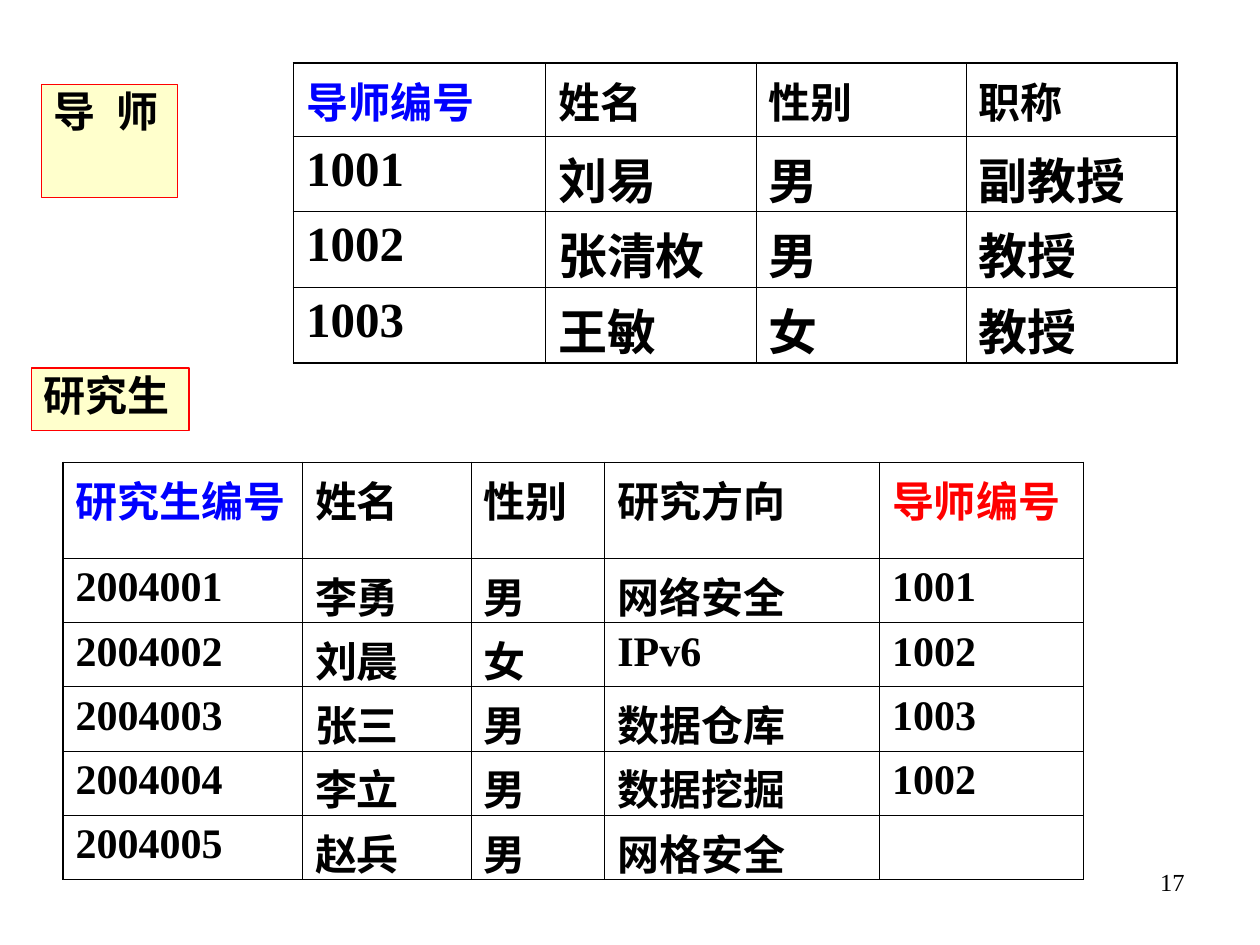
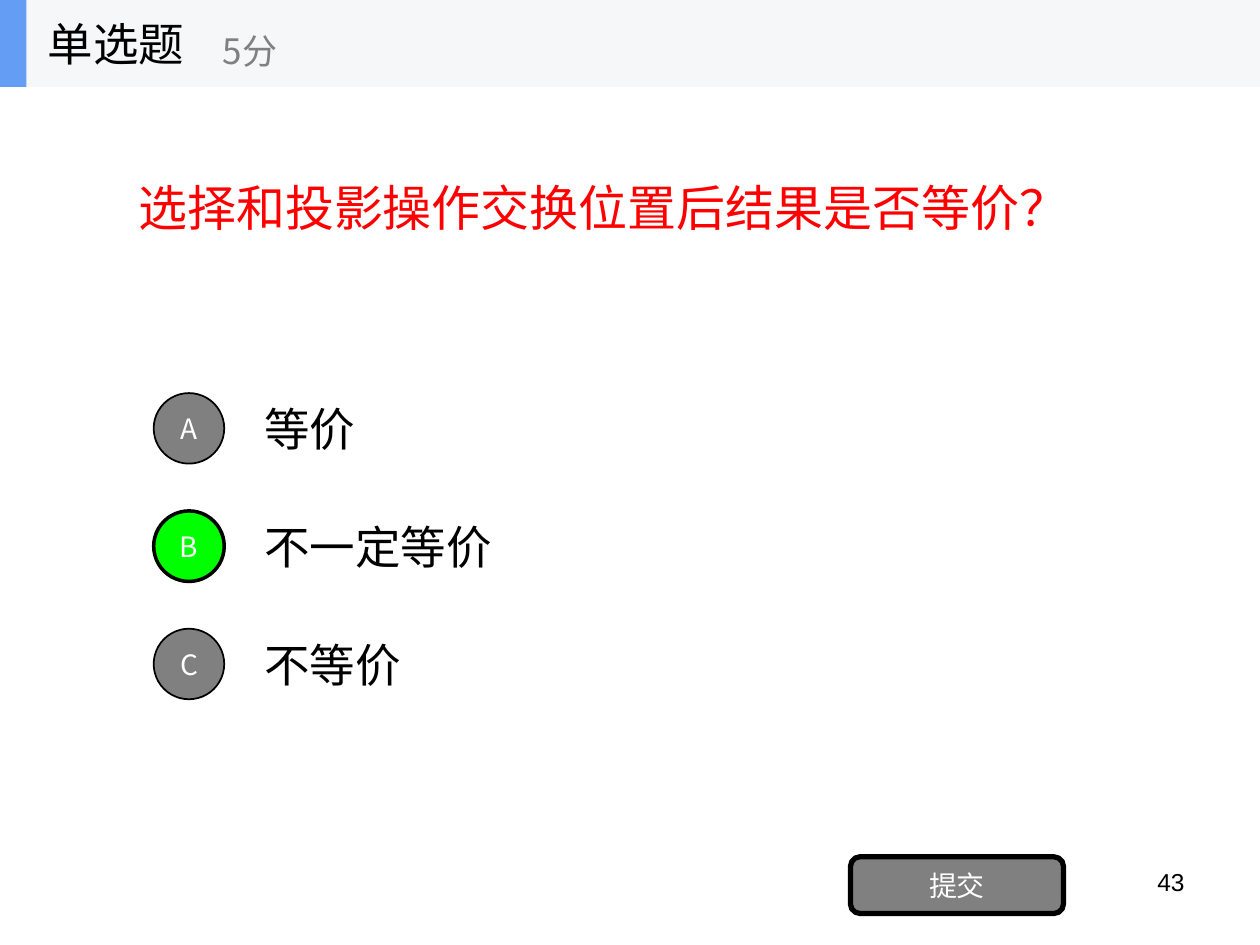
from dataclasses import dataclass

from lxml import etree
from pptx import Presentation
from pptx.dml.color import RGBColor
from pptx.enum.shapes import MSO_SHAPE
from pptx.enum.text import MSO_ANCHOR, PP_ALIGN
from pptx.oxml.ns import qn
from pptx.util import Inches, Pt

RECTANGLE, OVAL, ROUNDED = MSO_SHAPE.RECTANGLE, MSO_SHAPE.OVAL, MSO_SHAPE.ROUNDED_RECTANGLE
TOP, MIDDLE = MSO_ANCHOR.TOP, MSO_ANCHOR.MIDDLE
LEFT, CENTER, RIGHT = PP_ALIGN.LEFT, PP_ALIGN.CENTER, PP_ALIGN.RIGHT


@dataclass(frozen=True)
class Theme:
    black: str = "000000"
    white: str = "FFFFFF"
    key_blue: str = "0000FF"
    red: str = "FF0000"
    label_yellow: str = "FFFFCC"
    grey: str = "808080"
    answer_green: str = "00FF00"
    band: str = "F6F7F8"
    accent: str = "639EF4"
    serif: str = "Times New Roman"
    sans: str = "Arial"
    chinese: str = "Noto Sans CJK SC"
    number_size: int = 14
    button_size: int = 16
    points_size: int = 20
    label_size: int = 24
    option_size: int = 26
    large_size: int = 28
    outer_border: float = 1.08
    inner_border: float = 0.45


theme = Theme()


def write(frame, text, size, font, color=theme.black, bold=False, align=LEFT, anchor=TOP):
    """Put one run in a text frame; Chinese characters use the Chinese font."""
    frame.word_wrap = True
    frame.vertical_anchor = anchor
    para = frame.paragraphs[0]
    para.alignment = align
    span = para.add_run()
    span.text = text
    span.font.size = Pt(size)
    span.font.name = font
    span.font.bold = bold
    span.font.color.rgb = RGBColor.from_string(color)
    east_asian = etree.SubElement(span.font._element, qn("a:ea"))
    east_asian.set("typeface", theme.chinese)
    return span


def add_shape(page, kind, place, fill, line=None, width=0.75):
    shape = page.shapes.add_shape(kind, *map(Inches, place))
    shape.shadow.inherit = False
    shape.fill.solid()
    shape.fill.fore_color.rgb = RGBColor.from_string(fill)
    if line:
        shape.line.color.rgb = RGBColor.from_string(line)
        shape.line.width = Pt(width)
    else:
        shape.line.fill.background()
    return shape


deck = Presentation()
deck.slide_width, deck.slide_height = Inches(10), Inches(7.5)
blank = deck.slide_layouts[6]
tables_page, quiz_page = deck.slides.add_slide(blank), deck.slides.add_slide(blank)

# Page numbers
for page, number, font in [(tables_page, "17", theme.serif), (quiz_page, "43", theme.sans)]:
    box = page.shapes.add_textbox(Inches(7.17), Inches(6.83), Inches(2.33), Inches(0.52))
    write(box.text_frame, number, theme.number_size, font, align=RIGHT)

# Slide 1: supervisor and graduate tables
supervisors = [
    ["导师编号", "姓名", "性别", "职称"],
    ["1001", "刘易", "男", "副教授"],
    ["1002", "张清枚", "男", "教授"],
    ["1003", "王敏", "女", "教授"],
]
graduates = [
    ["研究生编号", "姓名", "性别", "研究方向", "导师编号"],
    ["2004001", "李勇", "男", "网络安全", "1001"],
    ["2004002", "刘晨", "女", "IPv6", "1002"],
    ["2004003", "张三", "男", "数据仓库", "1003"],
    ["2004004", "李立", "男", "数据挖掘", "1002"],
    ["2004005", "赵兵", "男", "网格安全", ""],
]
# records, left, top, column widths, header height, row height, body size, header colours
table_plans = [
    (supervisors, 2.33, 0.5, [2, 1.67, 1.67, 1.67], 0.58, 0.6, theme.large_size,
     {0: theme.key_blue}),
    (graduates, 0.5, 3.67, [1.9, 1.34, 1.06, 2.18, 1.62], 0.76, 0.51, theme.label_size,
     {0: theme.key_blue, 4: theme.red}),
]
for records, left, top, widths, header_height, row_height, body_size, key_colors in table_plans:
    heights = [header_height] + [row_height] * (len(records) - 1)
    table = tables_page.shapes.add_table(
        len(records), len(widths), Inches(left), Inches(top),
        Inches(sum(widths)), Inches(sum(heights))).table
    table.first_row = table.horz_banding = False
    for column, width in zip(table.columns, widths):
        column.width = Inches(width)
    for row, height in zip(table.rows, heights):
        row.height = Inches(height)
    last_row, last_column = len(records) - 1, len(widths) - 1
    for row_index, record in enumerate(records):
        for column_index, text in enumerate(record):
            cell = table.cell(row_index, column_index)
            outer_sides = {
                "a:lnL": column_index == 0,
                "a:lnR": column_index == last_column,
                "a:lnT": row_index == 0,
                "a:lnB": row_index == last_row,
            }
            properties = cell._tc.get_or_add_tcPr()
            for side, is_outer in outer_sides.items():
                border = etree.SubElement(properties, qn(side))
                border.set("w", str(Pt(theme.outer_border if is_outer else theme.inner_border)))
                paint = etree.SubElement(border, qn("a:solidFill"))
                etree.SubElement(paint, qn("a:srgbClr")).set("val", theme.black)
            cell.fill.background()
            if text:
                is_header = row_index == 0
                color = key_colors.get(column_index, theme.black) if is_header else theme.black
                size = theme.label_size if is_header else body_size
                write(cell.text_frame, text, size, theme.serif, color, bold=True)

# Slide 1: table labels
for parts, place in [(["导", " ", "师"], (0.33, 0.67, 1.08, 0.9)),
                     (["研究生"], (0.25, 2.92, 1.25, 0.5))]:
    label = add_shape(tables_page, RECTANGLE, place, theme.label_yellow, theme.red)
    label.text_frame.margin_top = Inches(0.01)
    label.text_frame.margin_bottom = 0
    for part in parts:
        span = write(label.text_frame, part, theme.label_size, theme.serif, bold=True)
        if part == " ":
            span.font._element.set("spc", "600")

# Slide 2: question
box = quiz_page.shapes.add_textbox(Inches(1), Inches(0.47), Inches(8), Inches(2.34))
write(box.text_frame, "选择和投影操作交换位置后结果是否等价？", theme.large_size, theme.sans,
      theme.red, anchor=MIDDLE)

# Slide 2: options
option_pitch = 0.935
for index, (letter, answer, fill, line_width) in enumerate([
        ("A", "等价", theme.grey, 1),
        ("B", "不一定等价", theme.answer_green, 2),
        ("C", "不等价", theme.grey, 1)]):
    top = 3.05 + index * option_pitch
    box = quiz_page.shapes.add_textbox(Inches(2), Inches(top), Inches(7), Inches(0.7))
    write(box.text_frame, answer, theme.option_size, theme.chinese, anchor=MIDDLE)
    circle = add_shape(quiz_page, OVAL, (1.22, top + 0.07, 0.56, 0.56), fill,
                       theme.black, line_width)
    write(circle.text_frame, letter, theme.button_size, theme.chinese, theme.white,
          align=CENTER, anchor=MIDDLE)

# Slide 2: submit button
button = add_shape(quiz_page, ROUNDED, (6.75, 6.8, 1.69, 0.45), theme.grey, theme.black, 3)
write(button.text_frame, "提交", theme.button_size, theme.chinese, theme.white,
      align=CENTER, anchor=MIDDLE)

# Slide 2: title band
add_shape(quiz_page, RECTANGLE, (0, 0, 10, 0.69), theme.band)
add_shape(quiz_page, RECTANGLE, (0, 0, 0.21, 0.69), theme.accent)
for text, place, size, color in [
        ("单选题", (0.28, 0, 2.08, 0.69), theme.option_size, theme.black),
        ("5分", (1.67, 0.12, 2.5, 0.56), theme.points_size, theme.grey)]:
    box = quiz_page.shapes.add_textbox(*map(Inches, place))
    write(box.text_frame, text, size, theme.chinese, color, anchor=MIDDLE)

deck.save("out.pptx")
